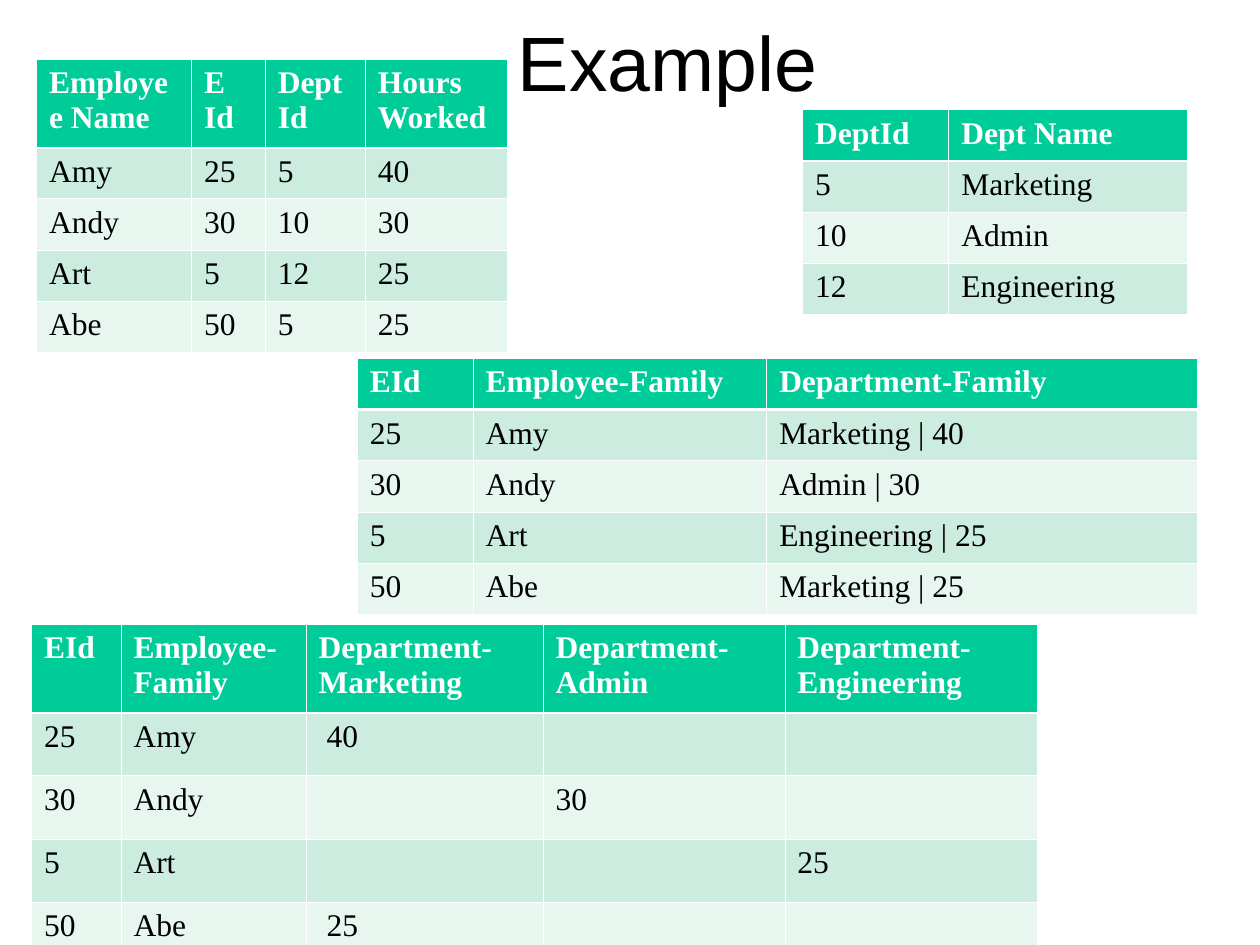
from dataclasses import dataclass

from lxml import etree
from pptx import Presentation
from pptx.dml.color import RGBColor
from pptx.enum.text import MSO_ANCHOR, PP_ALIGN
from pptx.oxml.ns import qn
from pptx.util import Inches, Pt

MIDDLE = MSO_ANCHOR.MIDDLE
CENTER = PP_ALIGN.CENTER

# The slide is a grid of 100 columns by 75 rows
SLIDE_WIDTH, SLIDE_HEIGHT = Inches(10), Inches(7.5)
COLUMNS, ROWS = 100, 75
TALL_HEADER, LINE_ROW = 7.02, 4.06


@dataclass(frozen=True)
class Theme:
    title_font: str = "Arial"
    table_font: str = "Times New Roman"
    title_size: float = 44
    table_size: float = 18
    empty_size: float = 24
    thin_rule: float = 0.45
    header_rule: float = 1.47
    dark: str = "000000"
    light: str = "FFFFFF"
    header_fill: str = "00CC99"
    band_fills: tuple = ("CBECDE", "E7F6EF")


THEME = Theme()


def across(count):
    return round(SLIDE_WIDTH * count / COLUMNS)


def down(count):
    return round(SLIDE_HEIGHT * count / ROWS)


def style_span(span, font, size, color, bold=False):
    span.font.name = font
    span.font.size = Pt(size)
    span.font.bold = bold
    span.font.color.rgb = RGBColor.from_string(color)


def add_title(page, box, text):
    left, top, width, height = box
    title = page.shapes.add_textbox(across(left), down(top), across(width), down(height))
    frame = title.text_frame
    frame.word_wrap = True
    frame.vertical_anchor = MIDDLE
    frame.text = text
    para = frame.paragraphs[0]
    para.alignment = CENTER
    style_span(para.runs[0], THEME.title_font, THEME.title_size, THEME.dark)


def add_borders(cell, top, bottom):
    properties = cell._tc.get_or_add_tcPr()
    sides = {"lnL": THEME.thin_rule, "lnR": THEME.thin_rule, "lnT": top, "lnB": bottom}
    for side, weight in sides.items():
        line = etree.SubElement(properties, qn(f"a:{side}"), w=str(Pt(weight)))
        fill = etree.SubElement(line, qn("a:solidFill"))
        etree.SubElement(fill, qn("a:srgbClr"), val=THEME.light)


def style_cell(cell, text, row):
    is_header = row == 0
    # Borders go before the fill; the rule under the header is heavier
    add_borders(cell,
                top=THEME.header_rule if row == 1 else THEME.thin_rule,
                bottom=THEME.header_rule if is_header else THEME.thin_rule)
    cell.fill.solid()
    fill = THEME.header_fill if is_header else THEME.band_fills[(row - 1) % 2]
    cell.fill.fore_color.rgb = RGBColor.from_string(fill)

    para = cell.text_frame.paragraphs[0]
    if text:
        para.text = text
        color = THEME.light if is_header else THEME.dark
        style_span(para.runs[0], THEME.table_font, THEME.table_size, color, is_header)
    else:
        # Empty cells keep a larger type size, which sets the row height
        mark = etree.SubElement(para._p, qn("a:endParaRPr"), sz=str(THEME.empty_size * 100))
        etree.SubElement(mark, qn("a:latin"), typeface=THEME.table_font)


def add_data_table(page, corner, widths, header_height, records):
    left, top = corner
    heights = [header_height] + [LINE_ROW] * (len(records) - 1)
    table = page.shapes.add_table(
        len(records), len(widths), across(left), down(top),
        across(sum(widths)), down(sum(heights))).table
    table.horz_banding = False
    for column, width in zip(table.columns, widths):
        column.width = across(width)
    for line, height in zip(table.rows, heights):
        line.height = down(height)
    for row, record in enumerate(records):
        for column, text in enumerate(record):
            style_cell(table.cell(row, column), text, row)


def main():
    deck = Presentation()
    deck.slide_width, deck.slide_height = SLIDE_WIDTH, SLIDE_HEIGHT
    page = deck.slides.add_slide(deck.slide_layouts[6])

    add_title(page, (8, 1.1, 90, 7.5), "Example")

    # Employees
    add_data_table(page, (2.9, 4.7), (12.3, 5.85, 7.95, 11.3), TALL_HEADER, [
        ("Employee Name", "E Id", "Dept Id", "Hours Worked"),
        ("Amy", "25", "5", "40"),
        ("Andy", "30", "10", "30"),
        ("Art", "5", "12", "25"),
        ("Abe", "50", "5", "25"),
    ])

    # Departments
    add_data_table(page, (63.7, 8.7), (11.6, 18.95), LINE_ROW, [
        ("DeptId", "Dept Name"),
        ("5", "Marketing"),
        ("10", "Admin"),
        ("12", "Engineering"),
    ])

    # Column families with the department as a value
    add_data_table(page, (28.35, 28.45), (9.2, 23.3, 34.2), LINE_ROW, [
        ("EId", "Employee-Family", "Department-Family"),
        ("25", "Amy", "Marketing | 40"),
        ("30", "Andy", "Admin | 30"),
        ("5", "Art", "Engineering | 25"),
        ("50", "Abe", "Marketing | 25"),
    ])

    # Column families with one column for each department
    add_data_table(page, (2.5, 49.55), (7.1, 14.7, 18.8, 19.2, 20), TALL_HEADER, [
        ("EId", "Employee-Family", "Department-Marketing", "Department-Admin",
         "Department- Engineering"),
        ("25", "Amy", " 40", "", ""),
        ("30", "Andy", "", "30", ""),
        ("5", "Art", "", "", "25"),
        ("50", "Abe", " 25", "", ""),
    ])

    deck.save("out.pptx")


if __name__ == "__main__":
    main()
